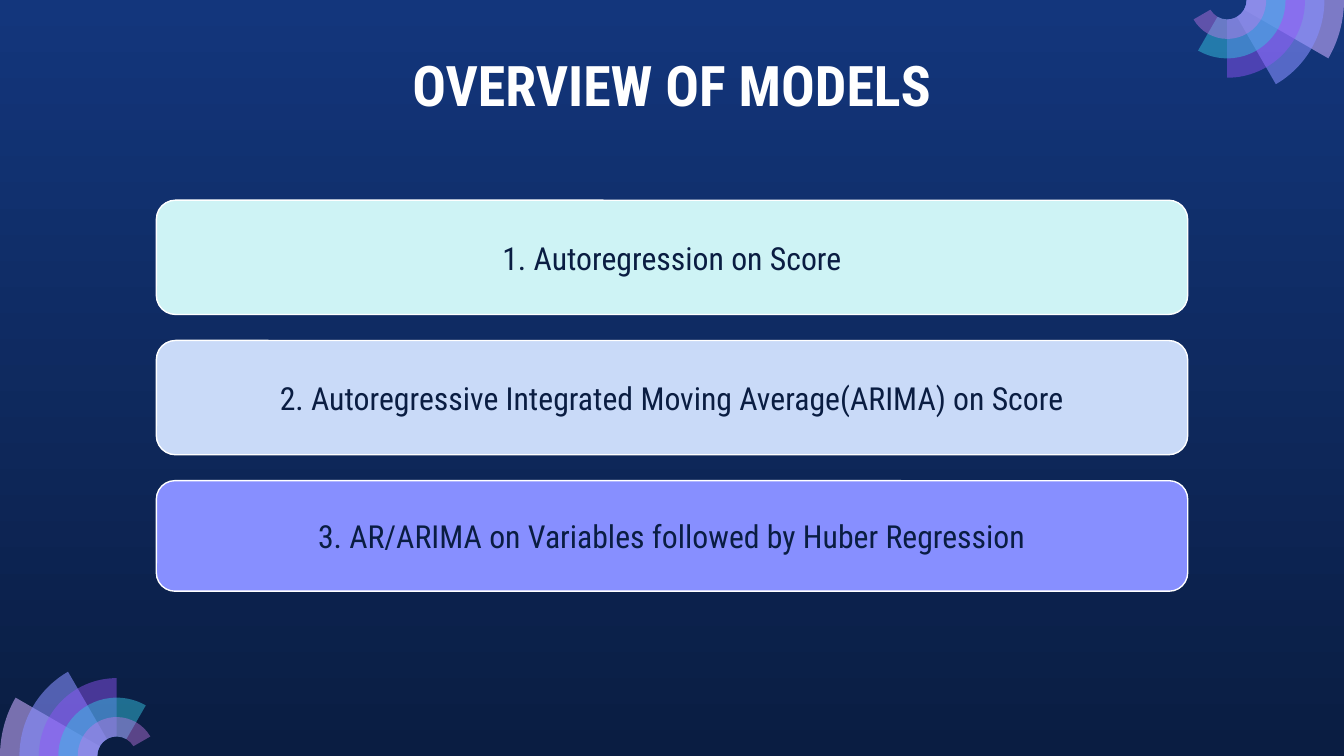
from dataclasses import dataclass
from math import cos, radians, sin, tan

from lxml.etree import SubElement
from pptx import Presentation
from pptx.dml.color import RGBColor
from pptx.enum.shapes import MSO_SHAPE
from pptx.enum.text import MSO_ANCHOR, MSO_AUTO_SIZE, PP_ALIGN
from pptx.oxml.ns import qn
from pptx.util import Pt


@dataclass(frozen=True)
class Theme:
    font: str = "Roboto Condensed"
    bg_top: str = "13367C"
    navy: str = "0A1D42"
    white: str = "FFFFFF"
    title_size: float = 30
    item_size: float = 17
    inset: float = 7.2


@dataclass(frozen=True)
class Model:
    text: str
    fill: str
    height: float


@dataclass(frozen=True)
class Band:
    color: str
    alpha: int  # percent


THEME = Theme()
WIDTH, HEIGHT = 720, 405

MODELS = [
    Model("1. Autoregression on Score", "CEF3F5", 61.2),
    Model("2. Autoregressive Integrated Moving Average(ARIMA) on Score", "C9DAF8", 61.2),
    Model("3. AR/ARIMA on Variables followed by Huber Regression", "878FFF", 59.2),
]
CARD_LEFT, CARD_TOP, CARD_WIDTH, CARD_PITCH = 83.75, 107.25, 552.5, 75.15

# Each band is one step smaller and 30 degrees longer than the one before
BANDS = [
    Band("C8ACFD", 58),
    Band("878FFF", 58),
    Band("9154F8", 46),
    Band("35C2DF", 49),
    Band("CA7BEB", 42),
]
RING_STEP, SWEEP_STEP = 10.42, 30
FAN_RADIUS = RING_STEP * (len(BANDS) + 1)


def rgb(color: str) -> RGBColor:
    return RGBColor.from_string(color)


def write_text(sp, text: str, *, size: float, color: str, bold: bool = False,
               anchor=MSO_ANCHOR.MIDDLE) -> None:
    tf = sp.text_frame
    tf.word_wrap = True
    tf.auto_size = MSO_AUTO_SIZE.NONE
    tf.vertical_anchor = anchor
    tf.margin_left = tf.margin_right = Pt(THEME.inset)
    tf.margin_top = tf.margin_bottom = Pt(THEME.inset)
    p = tf.paragraphs[0]
    p.alignment = PP_ALIGN.CENTER
    r = p.add_run()
    r.text = text
    r.font.name, r.font.size, r.font.bold = THEME.font, Pt(size), bold
    r.font.color.rgb = rgb(color)


def draw_band(shapes, band: Band, cx: float, cy: float, radius: float,
              start: int, sweep: int) -> None:
    def polar(r: float, angle: float, offset: float = 0) -> tuple[int, int]:
        """Point on a circle, moved along its tangent by offset."""
        c, s = cos(radians(angle)), sin(radians(angle))
        return Pt(cx + r * c - offset * s), Pt(cy + r * s + offset * c)

    # Nodes at each quarter turn: out along the rim, back along the hub
    angles = [*range(start, start + sweep, 90), start + sweep]
    nodes = [(radius, a) for a in angles] + [(RING_STEP, a) for a in reversed(angles)]
    points = [polar(r, a) for r, a in nodes]
    fb = shapes.build_freeform(*points[0], scale=1.0)
    fb.add_line_segments(points[1:], close=True)
    sp = fb.convert_to_shape()

    # Bend the segments that stay on one circle
    segments = list(sp._element.iter(qn("a:lnTo")))
    for seg, (r0, a0), (r1, a1) in zip(segments, nodes, nodes[1:]):
        if r0 != r1:
            continue
        handle = 4 / 3 * tan(radians(a1 - a0) / 4) * r0
        seg.tag = qn("a:cubicBezTo")
        controls = (polar(r0, a0, handle), polar(r1, a1, -handle))
        for i, (x, y) in enumerate(controls):
            pt = SubElement(seg, qn("a:pt"))
            pt.set("x", str(x - sp.left))
            pt.set("y", str(y - sp.top))
            seg.insert(i, pt)

    sp.shadow.inherit = False
    sp.line.fill.background()
    sp.fill.solid()
    sp.fill.fore_color.rgb = rgb(band.color)
    clr = sp._element.spPr.find(qn("a:solidFill"))[0]
    SubElement(clr, qn("a:alpha")).set("val", str(band.alpha * 1000))


def draw_fan(slide, cx: float, cy: float, start: int) -> None:
    group = slide.shapes.add_group_shape()
    for i, band in enumerate(BANDS):
        draw_band(group.shapes, band, cx, cy, FAN_RADIUS - i * RING_STEP,
                  start, (i + 1) * SWEEP_STEP)


def draw_card(slide, model: Model, top: float) -> None:
    sp = slide.shapes.add_shape(MSO_SHAPE.ROUNDED_RECTANGLE, Pt(CARD_LEFT), Pt(top),
                                Pt(CARD_WIDTH), Pt(model.height))
    sp.adjustments[0] = 0.167
    sp.shadow.inherit = False
    sp.fill.solid()
    sp.fill.fore_color.rgb = rgb(model.fill)
    sp.line.color.rgb = rgb(THEME.white)
    sp.line.width = Pt(0.75)
    write_text(sp, model.text, size=THEME.item_size, color=THEME.navy)


def main() -> None:
    prs = Presentation()
    prs.slide_width, prs.slide_height = Pt(WIDTH), Pt(HEIGHT)
    slide = prs.slides.add_slide(prs.slide_layouts[5])

    # Background, dark towards the bottom
    fill = slide.background.fill
    fill.gradient()
    fill.gradient_angle = 270
    for stop, color in zip(fill.gradient_stops, (THEME.bg_top, THEME.navy)):
        stop.color.rgb = rgb(color)

    # Corner fans
    draw_fan(slide, FAN_RADIUS, HEIGHT, 180)
    draw_fan(slide, WIDTH - FAN_RADIUS, 0, 0)

    # Title
    title = slide.shapes.title
    title.left, title.top, title.width, title.height = Pt(56.7), Pt(19.9), Pt(606.6), Pt(45)
    write_text(title, "OVERVIEW OF MODELS", size=THEME.title_size, color=THEME.white,
               bold=True, anchor=MSO_ANCHOR.TOP)

    # Model cards
    for i, model in enumerate(MODELS):
        draw_card(slide, model, CARD_TOP + i * CARD_PITCH)

    prs.save("out.pptx")


if __name__ == "__main__":
    main()
